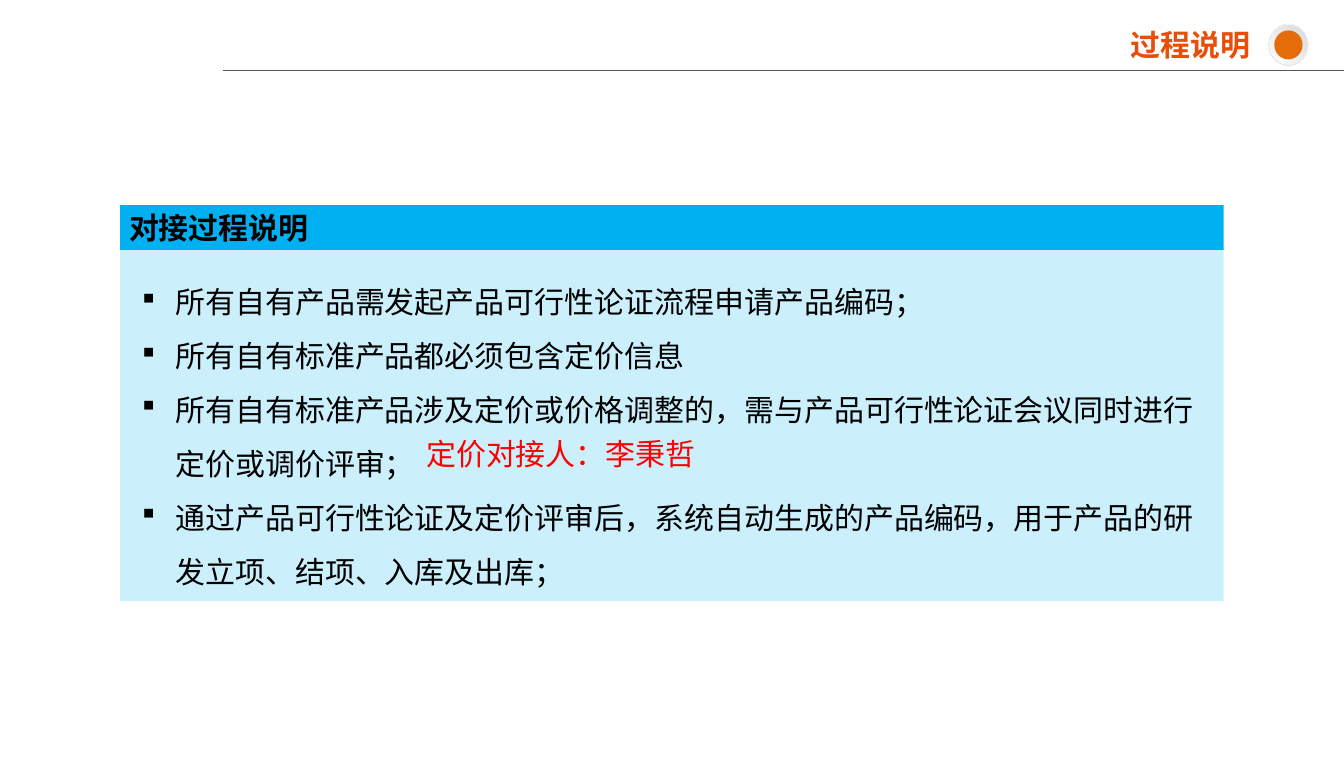
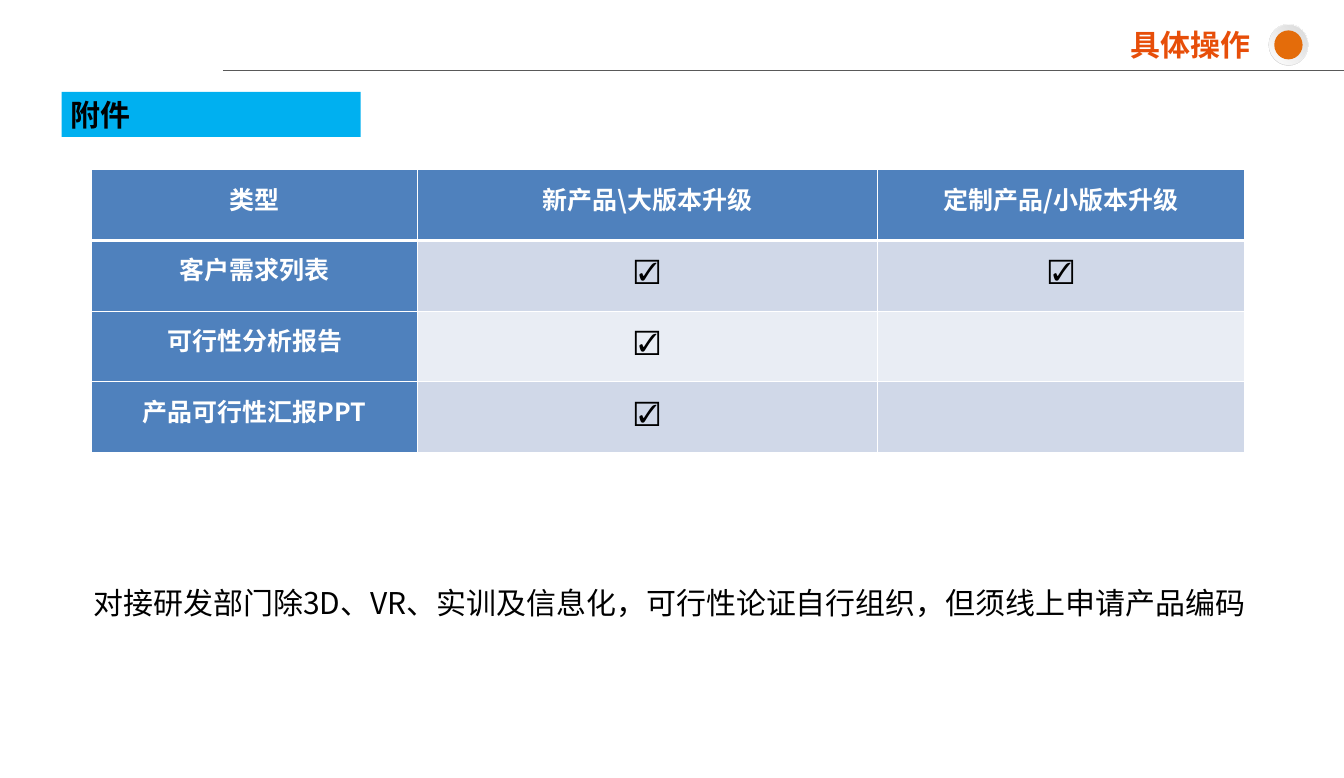
from dataclasses import dataclass

from lxml.etree import SubElement
from pptx import Presentation
from pptx.dml.color import RGBColor
from pptx.enum.shapes import MSO_CONNECTOR, MSO_SHAPE
from pptx.enum.text import MSO_ANCHOR, PP_ALIGN
from pptx.oxml.ns import qn
from pptx.util import Cm, Pt


@dataclass(frozen=True)
class Theme:
    font: str = "Noto Sans CJK SC"
    body_size: int = 24
    table_size: int = 20
    title: str = "E74E09"
    badge: str = "E46C0A"
    rule: str = "595959"
    accent: str = "00B0F0"
    ink: str = "000000"
    alert: str = "FF0000"
    white: str = "FFFFFF"
    table_head: str = "4F81BD"
    row_fills: tuple = ("D0D8E8", "E9EDF4")
    outer_ring: tuple = ("FFFFFF", "D9D9D9")
    inner_ring: tuple = ("D9D9D9", "FEFEFE")


THEME = Theme()
SLIDE_WIDTH, SLIDE_HEIGHT = 38, 22
BAND_HEIGHT = 1.27

PROCESS_TITLE = "过程说明"
PROCESS_HEADING = "对接过程说明"
PROCESS_STEPS = [
    "所有自有产品需发起产品可行性论证流程申请产品编码；",
    "所有自有标准产品都必须包含定价信息",
    "所有自有标准产品涉及定价或价格调整的，需与产品可行性论证会议同时进行定价或调价评审；",
    "通过产品可行性论证及定价评审后，系统自动生成的产品编码，用于产品的研发立项、结项、入库及出库；",
]
PRICING_CONTACT = "定价对接人：李秉哲"

OPERATION_TITLE = "具体操作"
ATTACHMENT_HEADING = "附件"
ATTACHMENTS = [
    ("类型", "新产品\\大版本升级", "定制产品/小版本升级"),
    ("客户需求列表", "☑", "☑"),
    ("可行性分析报告", "☑", ""),
    ("产品可行性汇报PPT", "☑", ""),
]
COLUMN_WIDTHS = (9.2, 13, 10.4)
ROW_HEIGHT = 2
DEPARTMENT_NOTE = "对接研发部门除3D、VR、实训及信息化，可行性论证自行组织，但须线上申请产品编码"


def set_font(paragraph, color, size=THEME.body_size, bold=False):
    font = paragraph.font
    font.size, font.bold, font.name = Pt(size), bold, THEME.font
    font.color.rgb = RGBColor.from_string(color)
    defaults = paragraph._p.pPr.find(qn("a:defRPr"))
    SubElement(defaults, qn("a:ea"), typeface=THEME.font)


def add_filled(shapes, preset, box, color=None):
    shape = shapes.add_shape(preset, *map(Cm, box))
    shape.shadow.inherit = False
    shape.line.fill.background()
    if color:
        shape.fill.solid()
        shape.fill.fore_color.rgb = RGBColor.from_string(color)
    return shape


def add_text(slide, box, lines, color=THEME.ink, bold=False, wrap=True):
    frame = slide.shapes.add_textbox(*map(Cm, box)).text_frame
    frame.word_wrap = wrap
    frame.text = "\n".join(lines)
    for paragraph in frame.paragraphs:
        set_font(paragraph, color, bold=bold)
    return frame.paragraphs


def add_band(slide, left, top, width, heading):
    box = (left, top, width, BAND_HEIGHT)
    band = add_filled(slide.shapes, MSO_SHAPE.RECTANGLE, box, THEME.accent)
    frame = band.text_frame
    frame.text = heading
    frame.vertical_anchor = MSO_ANCHOR.MIDDLE
    frame.paragraphs[0].alignment = PP_ALIGN.LEFT
    set_font(frame.paragraphs[0], THEME.ink, bold=True)


def fill_radial(shape, colors):
    shape.fill.gradient()
    for stop, color in zip(shape.fill.gradient_stops, colors):
        stop.color.rgb = RGBColor.from_string(color)
    gradient = shape._element.spPr.find(qn("a:gradFill"))
    gradient.remove(gradient.find(qn("a:lin")))
    radial = SubElement(gradient, qn("a:path"), path="circle")
    SubElement(radial, qn("a:fillToRect"), l="100000", b="100000")


def add_badge(slide, center_x=36.43, center_y=1.27):
    badge = slide.shapes.add_group_shape()
    rings = [
        (1.12, 1.17, THEME.outer_ring),
        (1.08, 1.12, THEME.inner_ring),
        (0.8, 0.82, THEME.badge),
    ]
    for width, height, fill in rings:
        box = (center_x - width / 2, center_y - height / 2, width, height)
        if isinstance(fill, tuple):
            fill_radial(add_filled(badge.shapes, MSO_SHAPE.OVAL, box), fill)
        else:
            add_filled(badge.shapes, MSO_SHAPE.OVAL, box, fill)


def add_page(deck, title):
    slide = deck.slides.add_slide(deck.slide_layouts[6])
    rule = slide.shapes.add_connector(
        MSO_CONNECTOR.STRAIGHT, Cm(6.3), Cm(2), Cm(SLIDE_WIDTH), Cm(2))
    rule.line.color.rgb = RGBColor.from_string(THEME.rule)
    rule.line.width = Pt(0.75)
    SubElement(rule._element.spPr, qn("a:effectLst"))
    add_badge(slide)
    heading, = add_text(slide, (22.6, 0.63, 13, 1.4), [title], THEME.title, bold=True)
    heading.alignment = PP_ALIGN.RIGHT
    return slide


def add_bullet(paragraph, indent=0.95):
    properties = paragraph._p.get_or_add_pPr()
    properties.set("marL", str(Cm(indent)))
    properties.set("indent", str(-Cm(indent)))
    defaults = properties.find(qn("a:defRPr"))
    for tag, key, value in (("a:buFont", "typeface", "Wingdings"), ("a:buChar", "char", "§")):
        defaults.addprevious(SubElement(properties, qn(tag), {key: value}))


def set_borders(cell, bottom):
    properties = cell._tc.get_or_add_tcPr()
    widths = {"a:lnL": 1, "a:lnR": 1, "a:lnT": 1, "a:lnB": bottom}
    for position, (tag, width) in enumerate(widths.items()):
        border = SubElement(properties, qn(tag), w=str(Pt(width)))
        fill = SubElement(border, qn("a:solidFill"))
        SubElement(fill, qn("a:srgbClr"), val=THEME.white)
        properties.insert(position, border)


def style_cell(cell, text, row, column):
    is_header = row == 0 or column == 0
    cell.fill.solid()
    color = THEME.table_head if is_header else THEME.row_fills[(row - 1) % 2]
    cell.fill.fore_color.rgb = RGBColor.from_string(color)
    cell.vertical_anchor = MSO_ANCHOR.MIDDLE
    cell.margin_left = cell.margin_right = Cm(0.18)
    cell.margin_top = cell.margin_bottom = 0
    cell.text = text
    paragraph = cell.text_frame.paragraphs[0]
    paragraph.alignment = PP_ALIGN.CENTER
    paragraph.line_spacing = Pt(18)
    set_font(paragraph, THEME.white if is_header else THEME.ink, THEME.table_size, is_header)
    set_borders(cell, bottom=3 if row == 0 else 1)


def add_attachments(slide, left, top):
    table = slide.shapes.add_table(
        len(ATTACHMENTS), len(COLUMN_WIDTHS), Cm(left), Cm(top),
        Cm(sum(COLUMN_WIDTHS)), Cm(ROW_HEIGHT * len(ATTACHMENTS))).table
    for column, width in zip(table.columns, COLUMN_WIDTHS):
        column.width = Cm(width)
    for row, texts in enumerate(ATTACHMENTS):
        for column, text in enumerate(texts):
            style_cell(table.cell(row, column), text, row, column)


def build_process(deck):
    slide = add_page(deck, PROCESS_TITLE)
    panel = add_filled(slide.shapes, MSO_SHAPE.RECTANGLE, (3.4, 7, 31.2, 10), THEME.accent)
    tint = panel._element.spPr.find(qn("a:solidFill"))[0]
    SubElement(tint, qn("a:alpha"), val="20000")
    add_band(slide, 3.4, 5.8, 31.2, PROCESS_HEADING)
    for step in add_text(slide, (3.76, 7.4, 30.45, 9.5), PROCESS_STEPS):
        step.line_spacing = 1.5
        add_bullet(step)
    add_text(slide, (11.8, 12.2, 8.2, BAND_HEIGHT), [PRICING_CONTACT], THEME.alert, wrap=False)


def build_operation(deck):
    slide = add_page(deck, OPERATION_TITLE)
    add_band(slide, 1.74, 2.6, 8.46, ATTACHMENT_HEADING)
    add_attachments(slide, 2.6, 4.8)
    add_text(slide, (2.4, 16.4, 33.58, BAND_HEIGHT), [DEPARTMENT_NOTE])


def main():
    deck = Presentation()
    deck.slide_width, deck.slide_height = Cm(SLIDE_WIDTH), Cm(SLIDE_HEIGHT)
    build_process(deck)
    build_operation(deck)
    deck.save("out.pptx")


if __name__ == "__main__":
    main()
